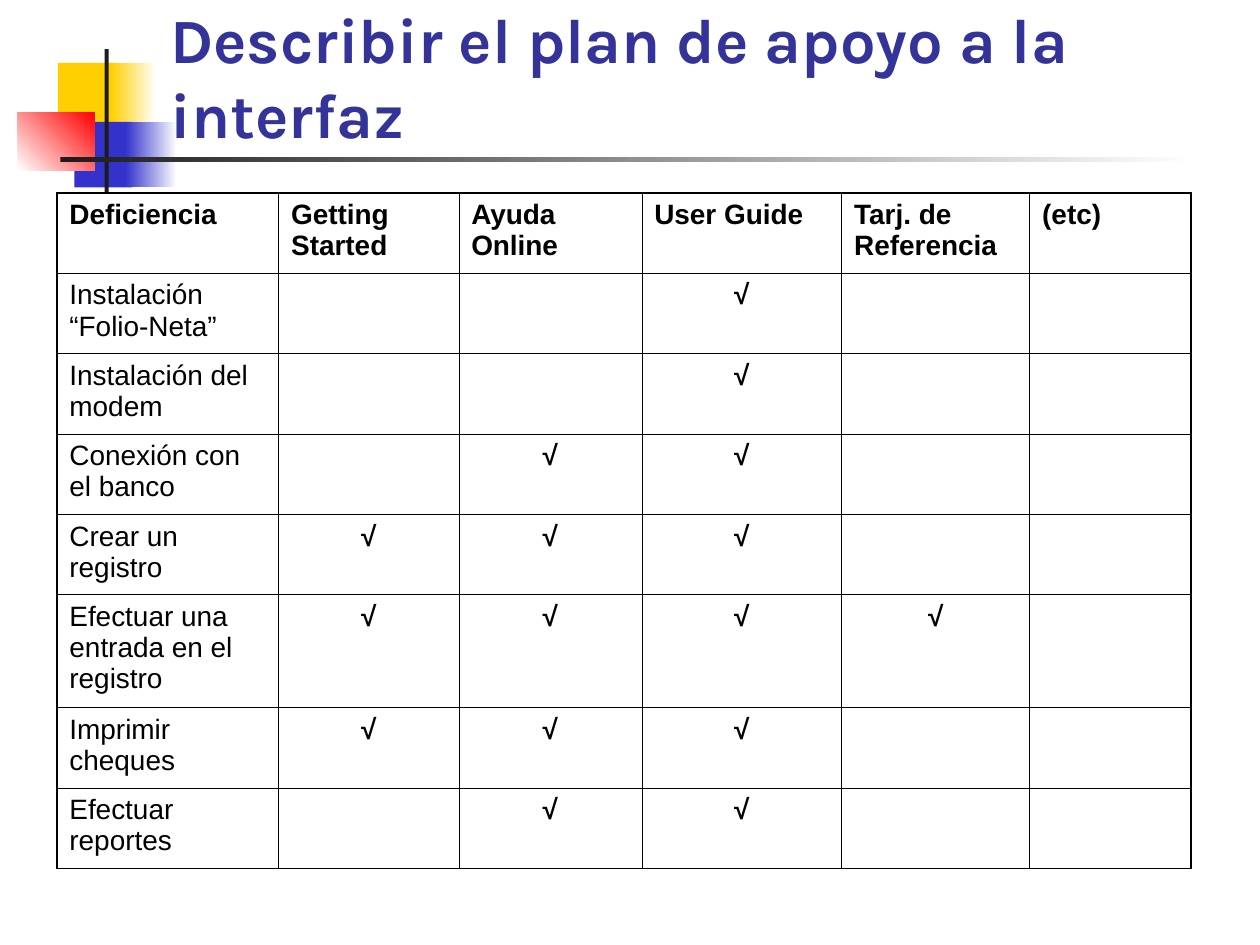
from pptx import Presentation
from pptx.dml.color import RGBColor
from pptx.enum.shapes import MSO_SHAPE
from pptx.enum.text import MSO_ANCHOR, MSO_AUTO_SIZE, PP_ALIGN
from pptx.oxml.ns import qn
from pptx.util import Cm, Pt
from lxml import etree

RECTANGLE = MSO_SHAPE.RECTANGLE
BOTTOM, TOP = MSO_ANCHOR.BOTTOM, MSO_ANCHOR.TOP
LEFT, CENTER = PP_ALIGN.LEFT, PP_ALIGN.CENTER
NO_AUTOFIT = MSO_AUTO_SIZE.NONE

COLORS = {
    "yellow": "FFCF01",
    "blue": "3333CC",
    "red": "FF0000",
    "white": "FFFFFF",
    "dark": "1C1C1C",
    "title": "333399",
    "black": "000000",
}

TITLE = "Describir el plan de apoyo a la interfaz"
TITLE_FONT = {"name": "Karla", "size": Pt(36), "bold": True}
TABLE_FONT = {"name": "Arial", "size": Pt(16)}
CELL_FORMAT = {
    "margin_left": Cm(0.25), "margin_right": Cm(0.25),
    "margin_top": Cm(0.13), "margin_bottom": Cm(0.13),
    "vertical_anchor": TOP,
}

# Left, top, width, height in cm; colours; angle of the gradient
ORNAMENTS = [
    ((1.17, 1.27, 1.22, 1.32), ["yellow"], 0),
    ((2.24, 1.27, 0.91, 1.32), ["yellow", "white"], 0),
    ((1.5, 2.46, 1.17, 1.32), ["blue"], 0),
    ((2.54, 2.46, 1.02, 1.32), ["blue", "white"], 0),
    ((0.36, 2.26, 1.55, 1.17), ["white", "red"], 45),
    ((2.11, 0.99, 0.08, 2.92), ["dark"], 0),
    ((1.22, 3.17, 22.86, 0.09), ["dark", "white"], 0),
]

HEADERS = ["Deficiencia", "Getting Started", "Ayuda Online", "User Guide",
           "Tarj. de Referencia", "(etc)"]
# Each deficiency with the columns that carry a check mark
DEFICIENCIES = [
    ("Instalación “Folio-Neta”", {3}),
    ("Instalación del modem", {3}),
    ("Conexión con el banco", {2, 3}),
    ("Crear un registro", {1, 2, 3}),
    ("Efectuar una entrada en el registro", {1, 2, 3, 4}),
    ("Imprimir cheques", {1, 2, 3}),
    ("Efectuar reportes", {2, 3}),
]
CHECK = "√"
COLUMN_WIDTHS = [4.47, 3.63, 3.69, 4.03, 3.79, 3.25]
ROW_HEIGHT, TALL_ROW_HEIGHT, TALL_ROW = 1.62, 2.28, 5
INNER_LINE, OUTER_LINE = Pt(0.45), Pt(1.08)


def rgb(color):
    return RGBColor.from_string(COLORS[color])


def set_format(target, values):
    for attribute, value in values.items():
        setattr(target, attribute, value)


def add_ornament(slide, box, colors, angle):
    block = slide.shapes.add_shape(RECTANGLE, *map(Cm, box))
    block.shadow.inherit = False
    block.line.fill.background()
    if len(colors) == 1:
        block.fill.solid()
        block.fill.fore_color.rgb = rgb(colors[0])
        return
    block.fill.gradient()
    block.fill.gradient_angle = angle
    for stop, color, position in zip(block.fill.gradient_stops, colors, (0, 1)):
        stop.color.rgb = rgb(color)
        stop.position = position


def place_title(slide):
    title = slide.shapes.title
    set_format(title, {"left": Cm(3.18), "top": Cm(0),
                       "width": Cm(21.64), "height": Cm(3.18)})
    frame = title.text_frame
    frame.text = TITLE
    set_format(frame, {"vertical_anchor": BOTTOM, "word_wrap": True,
                       "auto_size": NO_AUTOFIT})
    paragraph = frame.paragraphs[0]
    paragraph.alignment = LEFT
    font = paragraph.runs[0].font
    set_format(font, TITLE_FONT)
    font.color.rgb = rgb("title")
    # Keep the title in front of the ornaments
    slide.shapes._spTree.append(title._element)


def set_borders(cell, widths):
    properties = cell._tc.get_or_add_tcPr()
    for index, (side, width) in enumerate(widths.items()):
        line = etree.Element(qn(f"a:{side}"), w=str(int(width)))
        fill = etree.SubElement(line, qn("a:solidFill"))
        etree.SubElement(fill, qn("a:srgbClr"), val=COLORS["black"])
        properties.insert(index, line)


def fill_cell(cell, text, bold, alignment):
    set_format(cell, CELL_FORMAT)
    cell.fill.background()
    cell.text = text
    paragraph = cell.text_frame.paragraphs[0]
    set_format(paragraph, {"alignment": alignment, "space_before": Pt(4)})
    set_format(paragraph.font, {**TABLE_FONT, "bold": bold})
    for run in paragraph.runs:
        set_format(run.font, {**TABLE_FONT, "bold": bold})
        run.font.color.rgb = rgb("black")


def add_support_table(slide):
    rows = [HEADERS] + [
        [name] + [CHECK if column in checked else ""
                  for column in range(1, len(HEADERS))]
        for name, checked in DEFICIENCIES
    ]
    last_row, last_column = len(rows) - 1, len(HEADERS) - 1
    heights = [TALL_ROW_HEIGHT if row == TALL_ROW else ROW_HEIGHT
               for row in range(len(rows))]
    table = slide.shapes.add_table(
        len(rows), len(HEADERS), Cm(1.15), Cm(3.89),
        Cm(sum(COLUMN_WIDTHS)), Cm(sum(heights))).table
    set_format(table, {"first_row": False, "horz_banding": False})
    for column, width in zip(table.columns, COLUMN_WIDTHS):
        column.width = Cm(width)
    for row, height in zip(table.rows, heights):
        row.height = Cm(height)

    for r, texts in enumerate(rows):
        for c, text in enumerate(texts):
            cell = table.cell(r, c)
            is_mark = r > 0 and c > 0
            fill_cell(cell, text, r == 0 or is_mark, CENTER if is_mark else LEFT)
            on_edge = {"lnL": c == 0, "lnR": c == last_column,
                       "lnT": r == 0, "lnB": r == last_row}
            set_borders(cell, {side: OUTER_LINE if outer else INNER_LINE
                               for side, outer in on_edge.items()})


def main():
    presentation = Presentation()
    set_format(presentation, {"slide_width": Cm(25.4), "slide_height": Cm(19.05)})
    slide = presentation.slides.add_slide(presentation.slide_layouts[5])

    # Coloured blocks and rules beside the title
    for box, colors, angle in ORNAMENTS:
        add_ornament(slide, box, colors, angle)

    place_title(slide)
    add_support_table(slide)
    presentation.save("out.pptx")


if __name__ == "__main__":
    main()
